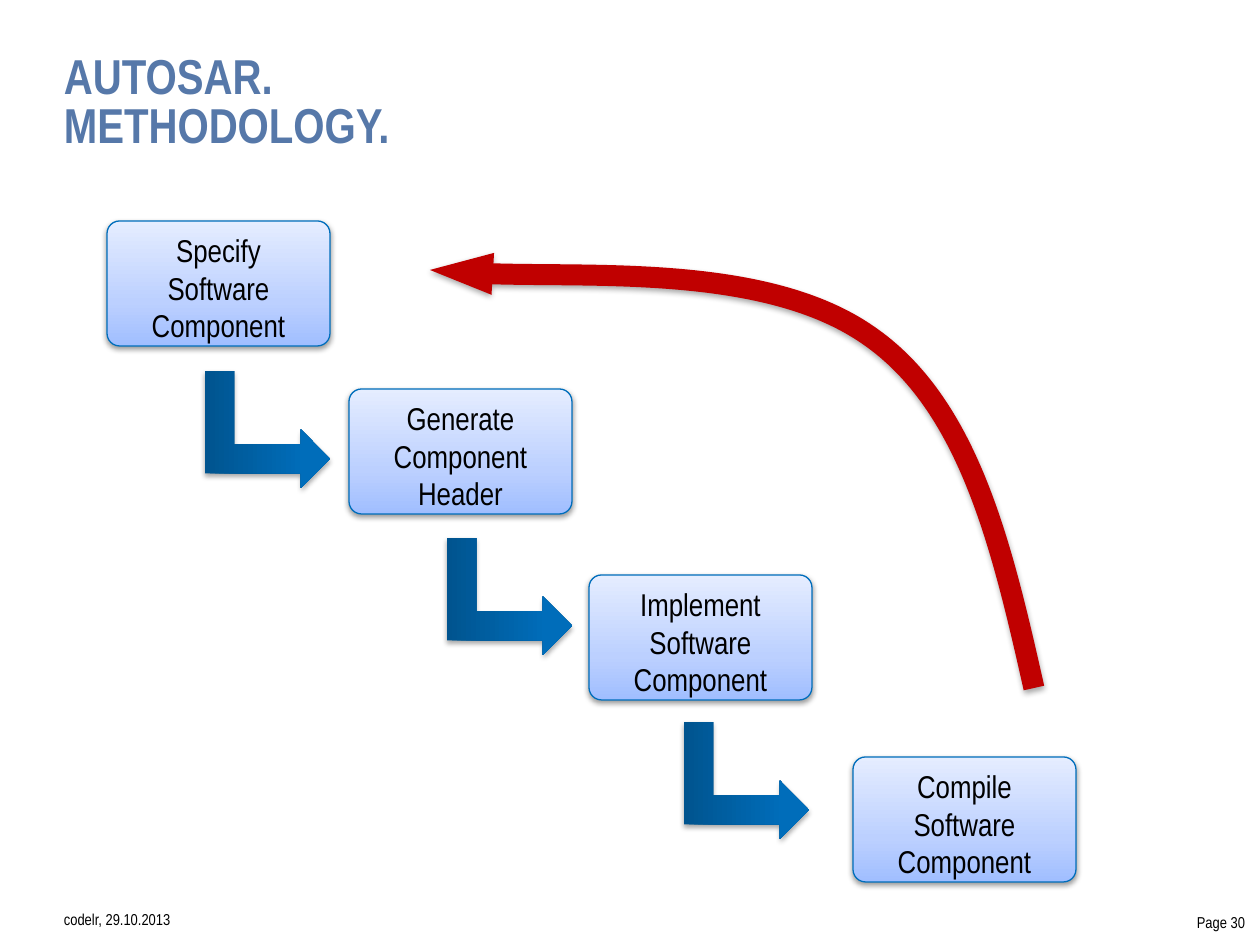
from dataclasses import dataclass

from lxml.etree import SubElement
from pptx import Presentation
from pptx.dml.color import RGBColor
from pptx.enum.shapes import MSO_SHAPE as SHAPE
from pptx.enum.text import MSO_ANCHOR as ANCHOR, PP_ALIGN as ALIGN
from pptx.oxml.ns import qn
from pptx.util import Pt

EMU_PER_PX = 914400 / 126


def px(n):
    return round(n * EMU_PER_PX)


@dataclass(frozen=True)
class Theme:
    font: str = "Arial Narrow"
    title_size: int = 28
    box_size: int = 18
    footer_size: int = 9
    title: str = "5678A9"
    text: str = "000000"
    box_line: str = "006EBC"
    loop: str = "C00000"
    # Gradient stops: (percent, colour), running upwards
    box_fill: tuple = ((0, "A0BEFF"), (35, "BCD0FF"), (100, "E5EDFF"))
    arrow_fill: tuple = ((0, "00548F"), (80, "006DBA"), (100, "006DBB"))


class Deck:
    def __init__(self, theme, width, height):
        self.theme = theme
        self.prs = Presentation()
        self.prs.slide_width, self.prs.slide_height = px(width), px(height)
        self.s = self.prs.slides.add_slide(self.prs.slide_layouts[6])

    def set_text(self, tf, text, size, color, align, bold=False, spacing=None):
        tf.word_wrap = True
        tf.text = text
        for p in tf.paragraphs:
            p.alignment = align
            if spacing:
                p.line_spacing = Pt(spacing)
            for r in p.runs:
                r.font.name, r.font.size, r.font.bold = self.theme.font, Pt(size), bold
                r.font.color.rgb = RGBColor.from_string(color)

    def gradient(self, sp, stops):
        sp.fill.gradient()
        sp.fill.gradient_angle = 90
        gs_list = sp._element.spPr.find(qn("a:gradFill")).find(qn("a:gsLst"))
        for gs in list(gs_list):
            gs_list.remove(gs)
        for percent, color in stops:
            gs = SubElement(gs_list, qn("a:gs"), pos=str(percent * 1000))
            SubElement(gs, qn("a:srgbClr"), val=color)

    def shadow(self, sp, alpha, dist):
        sp.shadow.inherit = False
        effects = sp._element.spPr.find(qn("a:effectLst"))
        shadow = SubElement(effects, qn("a:outerShdw"), blurRad=str(int(Pt(3.1))),
                            dist=str(int(Pt(dist))), dir="5400000", rotWithShape="0")
        color = SubElement(shadow, qn("a:srgbClr"), val="000000")
        SubElement(color, qn("a:alpha"), val=str(alpha * 1000))

    def label(self, text, at, size, color, align=ALIGN.LEFT, anchor=ANCHOR.MIDDLE, **style):
        tf = self.s.shapes.add_textbox(*map(px, at)).text_frame
        tf.margin_left = tf.margin_right = tf.margin_top = tf.margin_bottom = 0
        tf.vertical_anchor = anchor
        self.set_text(tf, text, size, color, align, **style)

    def box(self, text, x, y):
        t = self.theme
        sp = self.s.shapes.add_shape(SHAPE.ROUNDED_RECTANGLE, px(x), px(y), px(223), px(125))
        sp.adjustments[0] = 0.1
        self.gradient(sp, t.box_fill)
        sp.line.color.rgb = RGBColor.from_string(t.box_line)
        sp.line.width = Pt(0.75)
        self.shadow(sp, 38, 1.6)
        sp.text_frame.vertical_anchor = ANCHOR.TOP
        self.set_text(sp.text_frame, text, t.box_size, t.text, ALIGN.CENTER)

    def bent_arrow(self, x, y):
        sp = self.s.shapes.add_shape(SHAPE.BENT_UP_ARROW, px(x), px(y), px(117), px(125))
        sp.rotation = 90
        self.gradient(sp, self.theme.arrow_fill)
        sp.line.fill.background()
        self.shadow(sp, 35, 1.8)

    def curved_arrow(self, start, *points):
        """Draw Bézier segments; each takes two control points and an end."""
        builder = self.s.shapes.build_freeform(*start, scale=EMU_PER_PX)
        builder.add_line_segments(points, close=False)
        sp = builder.convert_to_shape()
        # Turn every three straight segments into one cubic segment
        lines = list(sp._element.iter(qn("a:lnTo")))
        outline = lines[0].getparent()
        for i in range(0, len(lines), 3):
            curve = SubElement(outline, qn("a:cubicBezTo"))
            for line in lines[i:i + 3]:
                curve.append(line[0])
                outline.remove(line)
        sp.fill.background()
        sp.line.color.rgb = RGBColor.from_string(self.theme.loop)
        sp.line.width = Pt(12)
        SubElement(sp._element.spPr.find(qn("a:ln")), qn("a:tailEnd"),
                   type="triangle", w="sm", len="med")
        self.shadow(sp, 35, 1.8)


def main():
    theme = Theme()
    deck = Deck(theme, 1260, 945)

    # Footer and title
    deck.label("codelr, 29.10.2013", (64, 897, 554, 45), theme.footer_size, theme.text)
    deck.label("Page 30", (833, 900, 412, 45), theme.footer_size, theme.text, ALIGN.RIGHT)
    deck.label("AUTOSAR.\nMETHODOLOGY.", (64, 55, 1552, 132), theme.title_size, theme.title,
               anchor=ANCHOR.TOP, bold=True, spacing=28)

    # Process steps
    for text, x, y in (
        ("Specify Software Component", 107, 221),
        ("Generate Component Header", 349, 389),
        ("Implement Software Component", 589, 575),
        ("Compile Software Component", 853, 757),
    ):
        deck.box(text, x, y)

    # Arrows from step to step
    for x, y in ((209, 367), (451, 534), (688, 718)):
        deck.bent_arrow(x, y)

    # Loop back to the first step
    deck.curved_arrow((1034, 688), (1002, 546), (969, 404), (868, 335),
                      (767, 265), (504, 280), (430, 270))

    deck.prs.save("out.pptx")


if __name__ == "__main__":
    main()
